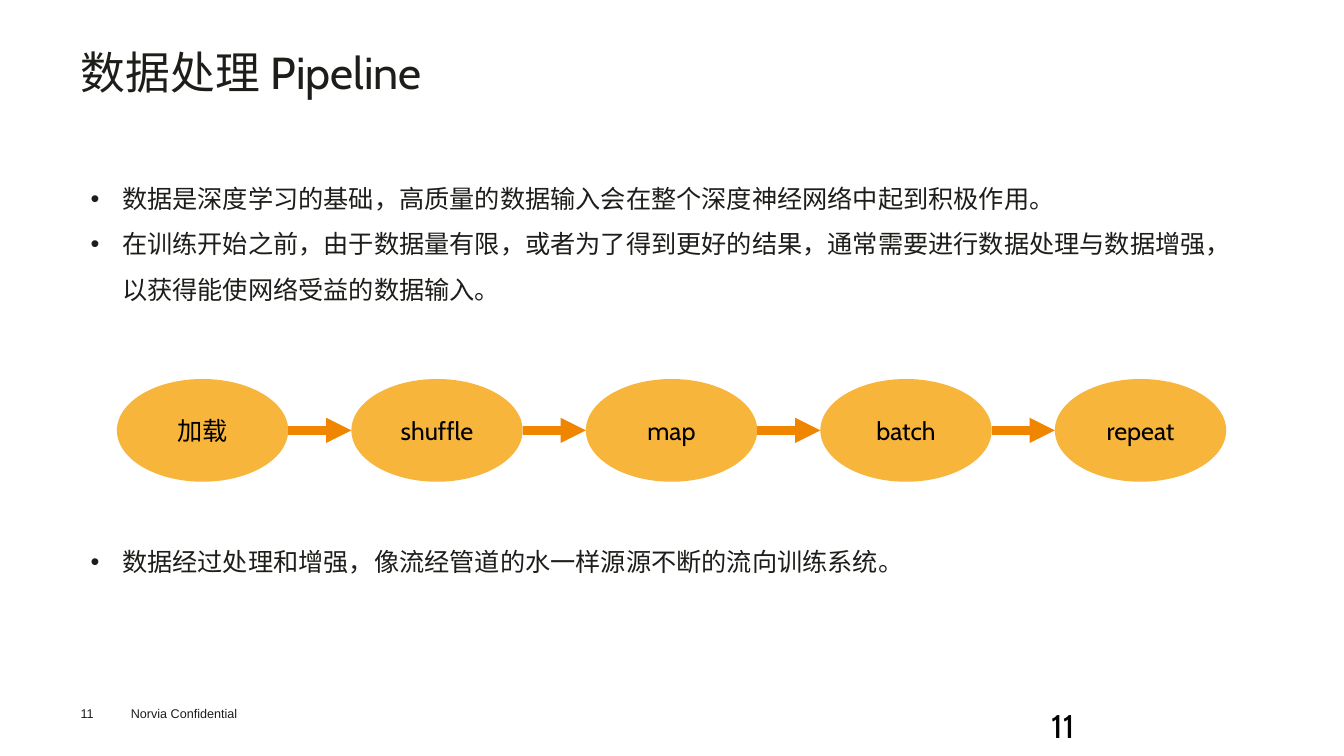
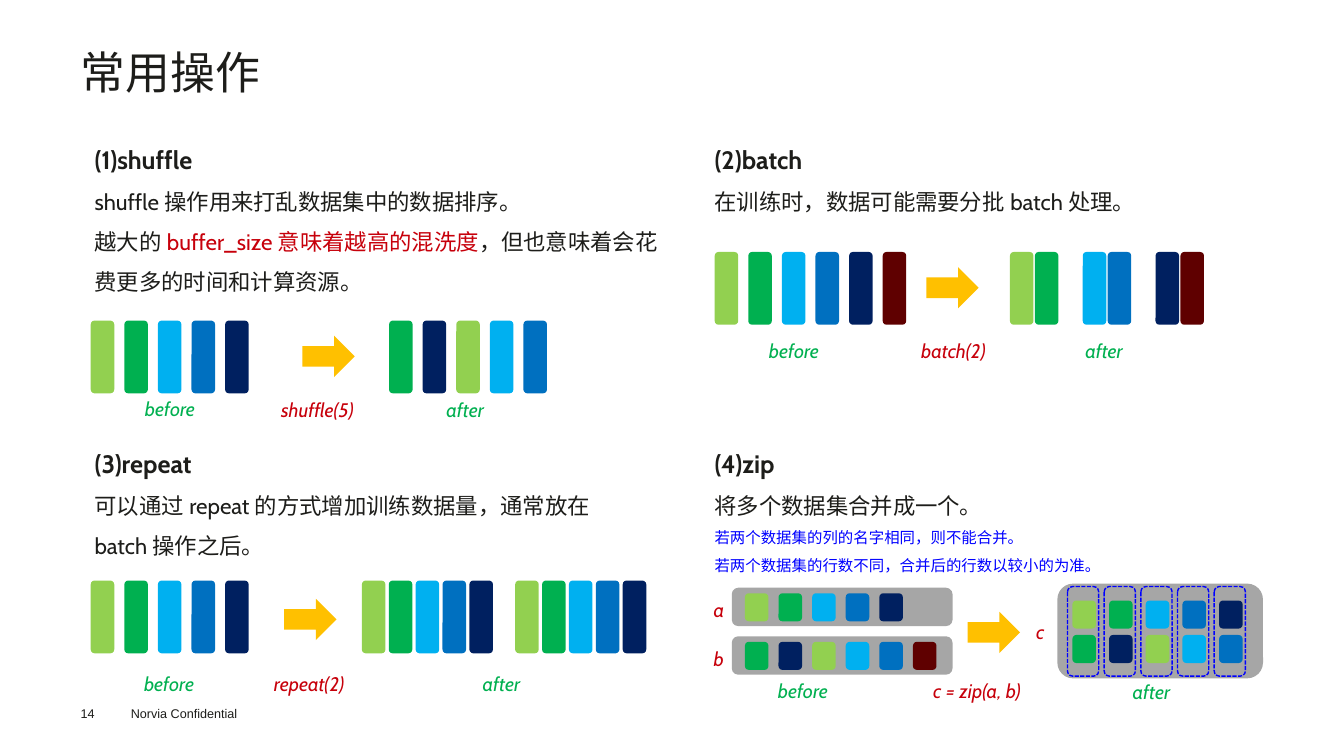
import pptx
import pptx.dml.color
import pptx.enum.dml
import pptx.enum.shapes
import pptx.enum.text
import pptx.oxml.ns
import pptx.util
from lxml import etree

Pt = pptx.util.Pt
RGBColor = pptx.dml.color.RGBColor
MSO_SHAPE = pptx.enum.shapes.MSO_SHAPE
qn = pptx.oxml.ns.qn

INK = RGBColor(0x1D, 0x1D, 0x1A)
BLACK = RGBColor(0x00, 0x00, 0x00)
RED = RGBColor(0xC7, 0x00, 0x0B)
BLUE = RGBColor(0x00, 0x00, 0xFF)
AMBER = RGBColor(0xF8, 0xB5, 0x3C)
ORANGE = RGBColor(0xF0, 0x85, 0x00)
GOLD = RGBColor(0xFF, 0xC0, 0x00)
GRAY = RGBColor(0xA6, 0xA6, 0xA6)
LIME = RGBColor(0x92, 0xD0, 0x50)
GREEN = RGBColor(0x00, 0xB0, 0x50)
SKY = RGBColor(0x00, 0xB0, 0xF0)
AZURE = RGBColor(0x00, 0x70, 0xC0)
NAVY = RGBColor(0x00, 0x20, 0x60)
MAROON = RGBColor(0x5F, 0x00, 0x00)

ORDERED = [LIME, GREEN, SKY, AZURE, NAVY]
SHUFFLED = [GREEN, NAVY, LIME, SKY, AZURE]

BAR_W, BAR_H, BAR_PITCH = 16.8, 52, 24
CELL_H = 20


class Deck:
    """Holds the shared style and the slide being filled."""
    font = "Cabin"

    def __init__(self):
        self.prs = pptx.Presentation()
        self.prs.slide_width, self.prs.slide_height = Pt(960), Pt(540)

    def new_slide(self, title, number):
        self.s = self.prs.slides.add_slide(self.prs.slide_layouts[6])
        tf = self.box(57.6, 36, 845, 78, inset=False)
        tf.paragraphs[0].line_spacing = Pt(34.3)
        self.run(tf.paragraphs[0], title, 32)
        tf = self.box(86.4, 500.4, 130, 18)
        self.run(tf.paragraphs[0], "Norvia Confidential", 9, font="Arial")
        tf = self.box(57.6, 504, 28, 11, inset=False)
        self.run(tf.paragraphs[0], number, 9, font="Arial")

    def box(self, x, y, w, h, inset=True):
        tf = self.s.shapes.add_textbox(Pt(x), Pt(y), Pt(w), Pt(h)).text_frame
        tf.word_wrap = True
        if not inset:
            tf.margin_left = tf.margin_right = tf.margin_top = tf.margin_bottom = 0
        return tf

    def run(self, p, text, size, color=INK, bold=None, italic=None, font=None):
        r = p.add_run()
        r.text = text
        f = r.font
        f.name, f.size, f.bold, f.italic = font or self.font, Pt(size), bold, italic
        f.color.rgb = color

    def text(self, x, y, w, h, paragraphs, bullet=False):
        """Each paragraph is a list of runs: (text, size, color, bold)."""
        tf = self.box(x, y, w, h)
        for i, runs in enumerate(paragraphs):
            p = tf.add_paragraph() if i else tf.paragraphs[0]
            p.line_spacing = 1.5
            if bullet:
                pPr = p._p.get_or_add_pPr()
                pPr.set("marL", str(Pt(22.5)))
                pPr.set("indent", str(-Pt(22.5)))
                etree.SubElement(pPr, qn("a:buFont")).set("typeface", "Arial")
                etree.SubElement(pPr, qn("a:buChar")).set("char", "•")
            for run in runs:
                self.run(p, *run)

    def section(self, x, y, w, h, heading, *paragraphs):
        self.text(x, y, w, h, [[(heading, 18, INK, True)], *paragraphs])

    def caption(self, x, y, text, color, w=102):
        tf = self.box(x, y, w, 24.5)
        self.run(tf.paragraphs[0], text, 14, color, italic=True)

    def shape(self, kind, x, y, w, h, fill=None):
        sp = self.s.shapes.add_shape(kind, Pt(x), Pt(y), Pt(w), Pt(h))
        sp.shadow.inherit = False
        if fill is None:
            sp.fill.background()
        else:
            sp.fill.solid()
            sp.fill.fore_color.rgb = fill
        sp.line.fill.background()
        return sp

    def panel(self, x, y, w, h):
        self.shape(MSO_SHAPE.ROUNDED_RECTANGLE, x, y, w, h, GRAY)

    def bars(self, x, y, colors, pitch=BAR_PITCH, h=BAR_H):
        for i, color in enumerate(colors):
            self.shape(MSO_SHAPE.ROUNDED_RECTANGLE, x + i * pitch, y, BAR_W, h, color)

    def dashed_frame(self, x, y, w, h):
        line = self.shape(MSO_SHAPE.ROUNDED_RECTANGLE, x, y, w, h).line
        line.color.rgb, line.width = BLUE, Pt(1)
        line.dash_style = pptx.enum.dml.MSO_LINE.SQUARE_DOT

    def block_arrow(self, x, y):
        self.shape(MSO_SHAPE.RIGHT_ARROW, x, y, 37.4, 29.5, GOLD)

    def step(self, x, y, w, h, label):
        tf = self.shape(MSO_SHAPE.OVAL, x, y, w, h, AMBER).text_frame
        tf.vertical_anchor = pptx.enum.text.MSO_ANCHOR.MIDDLE
        p = tf.paragraphs[0]
        p.alignment = pptx.enum.text.PP_ALIGN.CENTER
        self.run(p, label, 18, BLACK)

    def arrow(self, x1, y1, x2, y2):
        c = self.s.shapes.add_connector(
            pptx.enum.shapes.MSO_CONNECTOR.STRAIGHT, Pt(x1), Pt(y1), Pt(x2), Pt(y2))
        c.line.color.rgb, c.line.width = ORANGE, Pt(6)
        etree.SubElement(c.line._get_or_add_ln(), qn("a:tailEnd")).set("type", "triangle")
        etree.SubElement(c._element.spPr, qn("a:effectLst"))


def pipeline_slide(deck):
    deck.new_slide("数据处理Pipeline", "11")
    tf = deck.box(743.8, 500.4, 216, 29)
    deck.run(tf.paragraphs[0], "11", 23.4, BLACK)
    deck.text(57.6, 116.6, 845, 108, [
        [("数据是深度学习的基础，高质量的数据输入会在整个深度神经网络中起到积极作用。", 18)],
        [("在训练开始之前，由于数据量有限，或者为了得到更好的结果，通常需要进行数据处理与数据增强，"
          "以获得能使网络受益的数据输入。", 18)],
    ], bullet=True)

    left, top, w, h, pitch = 83.5, 270.7, 122.4, 73.4, 167.5
    steps = ["加载", "shuffle", "map", "batch", "repeat"]
    for i, label in enumerate(steps):
        x = left + i * pitch
        deck.step(x, top, w, h, label)
        if i:
            deck.arrow(x - pitch + w, top + h / 2, x, top + h / 2)

    deck.text(57.6, 376, 845, 40, [
        [("数据经过处理和增强，像流经管道的水一样源源不断的流向训练系统。", 18)],
    ], bullet=True)


def shuffle_section(deck):
    deck.section(
        60.5, 88.6, 417.6, 127.4, "(1)shuffle",
        [("shuffle操作用来打乱数据集中的数据排序。", 16)],
        [("越大的", 16), ("buffer_size意味着越高的混洗度", 16, RED),
         ("，但也意味着会花费更多的时间和计算资源。", 16)])
    deck.bars(64.8, 229, ORDERED)
    deck.block_arrow(216, 239.8)
    deck.bars(277.9, 229, SHUFFLED)
    deck.caption(96.5, 280.3, "before", GREEN)
    deck.caption(193.7, 281, "shuffle(5)", RED)
    deck.caption(311.8, 281, "after", GREEN)


def batch_section(deck):
    deck.section(
        503.3, 88.6, 400, 66, "(2)batch",
        [("在训练时，数据可能需要分批batch处理。", 16)])
    rows = ORDERED + [MAROON]
    deck.bars(510.5, 180, rows)
    deck.block_arrow(661.7, 190.8)
    for i in range(3):
        deck.bars(721.4 + i * 52, 180, rows[2 * i:2 * i + 2], pitch=17.8)
    deck.caption(542.2, 238.3, "before", GREEN)
    deck.caption(650.9, 238.3, "batch(2)", RED)
    deck.caption(768.2, 238.3, "after", GREEN)


def repeat_section(deck):
    deck.section(
        60.5, 306, 404.6, 98, "(3)repeat",
        [("可以通过repeat的方式增加训练数据量，通常放在batch操作之后。", 16)])
    deck.bars(64.8, 414.7, ORDERED)
    deck.block_arrow(203, 427.7)
    for x in (258.5, 368):
        deck.bars(x, 414.7, ORDERED, pitch=19.2)
    deck.caption(95.8, 476.3, "before", GREEN)
    deck.caption(188.6, 476.6, "repeat(2)", RED)
    deck.caption(337.7, 476.6, "after", GREEN)


def zip_section(deck):
    deck.section(
        503.3, 306, 389, 108.7, "(4)zip",
        [("将多个数据集合并成一个。", 16)],
        [("若两个数据集的列的名字相同，则不能合并。", 11, BLUE)],
        [("若两个数据集的行数不同，合并后的行数以较小的为准。", 11, BLUE)])
    inputs = [("a", 419.8, ORDERED), ("b", 454.5, SHUFFLED + [MAROON])]
    for name, y, colors in inputs:
        deck.panel(522.7, y, 157.7, 27.4)
        deck.bars(532.1, y + 4, colors, h=CELL_H)
        deck.caption(502.6, y + 4, name, RED, w=30)
    deck.block_arrow(691.2, 437)

    deck.panel(755.3, 416.9, 146.9, 67.7)
    deck.caption(733, 439.2, "c", RED, w=30)
    pitch = 26.2
    for y, colors in ((429, ORDERED), (453.6, SHUFFLED)):
        deck.bars(766, y, colors, pitch, CELL_H)
    for i in range(len(ORDERED)):
        deck.dashed_frame(762.5 + i * pitch, 419, 22.3, 64)

    deck.caption(548.6, 481.7, "before", GREEN)
    deck.caption(659.5, 481.7, "c = zip(a, b)", RED)
    deck.caption(802, 482.4, "after", GREEN)


def main():
    deck = Deck()
    pipeline_slide(deck)
    deck.new_slide("常用操作", "14")
    shuffle_section(deck)
    batch_section(deck)
    repeat_section(deck)
    zip_section(deck)
    deck.prs.save("out.pptx")


if __name__ == "__main__":
    main()
